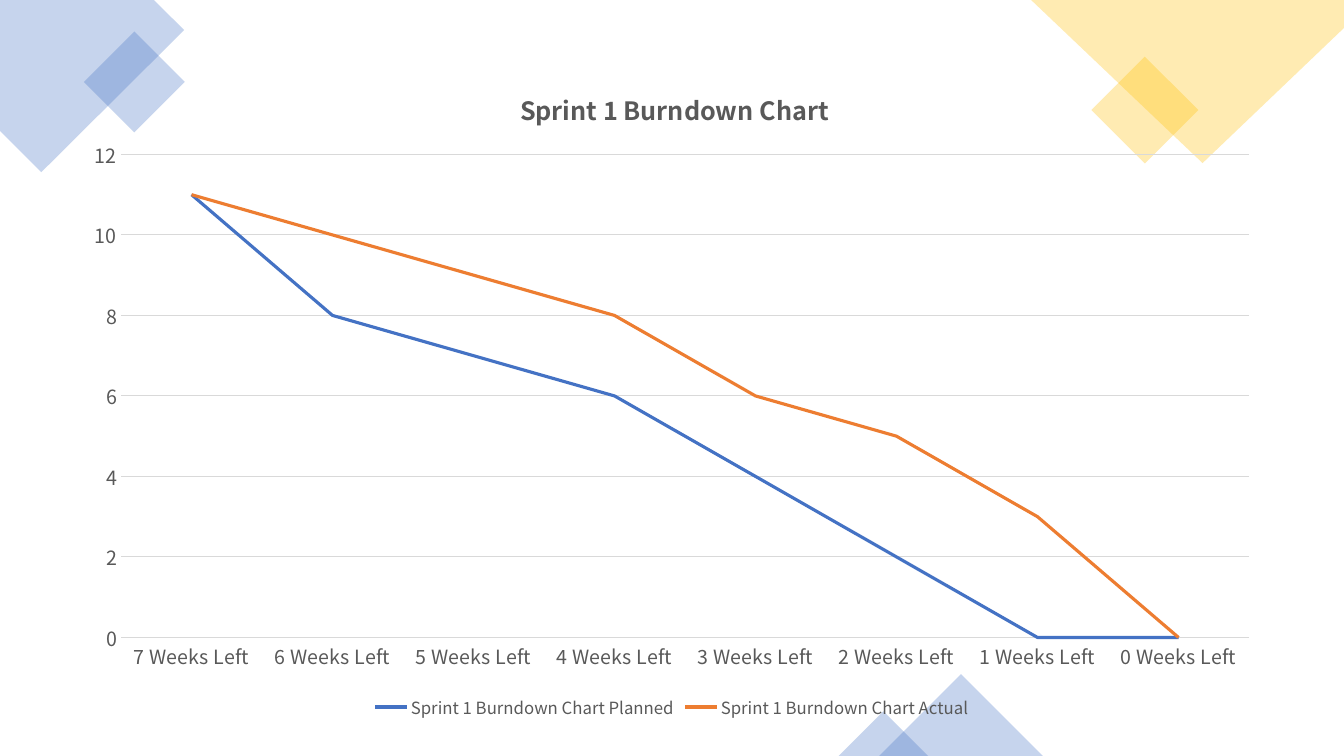
from dataclasses import dataclass

from lxml import etree
from pptx import Presentation
from pptx.chart.data import CategoryChartData
from pptx.dml.color import RGBColor
from pptx.enum.chart import XL_CHART_TYPE, XL_LEGEND_POSITION, XL_MARKER_STYLE, XL_TICK_MARK
from pptx.enum.shapes import MSO_SHAPE
from pptx.oxml import parse_xml
from pptx.oxml.ns import nsdecls, qn
from pptx.util import Pt

LINE_CHART = XL_CHART_TYPE.LINE
LEGEND_BOTTOM = XL_LEGEND_POSITION.BOTTOM
NO_MARKER = XL_MARKER_STYLE.NONE
NO_TICK = XL_TICK_MARK.NONE
SQUARE = MSO_SHAPE.RECTANGLE
TRIANGLE = MSO_SHAPE.ISOSCELES_TRIANGLE
BLANK_LAYOUT = 6


@dataclass(frozen=True)
class Theme:
    font: str = "Noto Sans CJK SC"
    blue: RGBColor = RGBColor(0x44, 0x72, 0xC4)
    gold: RGBColor = RGBColor(0xFF, 0xC0, 0x00)
    orange: RGBColor = RGBColor(0xED, 0x7D, 0x31)
    text: RGBColor = RGBColor(0x59, 0x59, 0x59)
    grid: RGBColor = RGBColor(0xD9, 0xD9, 0xD9)
    title_size: int = 18
    axis_size: int = 14
    legend_size: int = 12
    grid_width: float = 0.75
    series_width: float = 2.25
    opacity: int = 30


THEME = Theme()

WEEKS = [f"{week} Weeks Left" for week in range(7, -1, -1)]
SERIES = [
    ("Sprint 1 Burndown Chart Planned", THEME.blue, (11, 8, 7, 6, 4, 2, 0, 0)),
    ("Sprint 1 Burndown Chart Actual", THEME.orange, (11, 10, 9, 8, 6, 5, 3, 0)),
]


def style_decoration(shape, color):
    shape.shadow.inherit = False
    shape.fill.solid()
    shape.fill.fore_color.rgb = color
    shape.line.fill.background()
    color_node = shape.fill._xPr.find(qn("a:solidFill"))[0]
    alpha = etree.SubElement(color_node, qn("a:alpha"))
    alpha.set("val", str(THEME.opacity * 1000))


def add_polygon(page, points, color):
    corners = [(Pt(x), Pt(y)) for x, y in points]
    builder = page.shapes.build_freeform(*corners[0], scale=1.0)
    builder.add_line_segments(corners[1:], close=True)
    style_decoration(builder.convert_to_shape(), color)


def add_decoration(page, kind, left, top, width, height, color, rotation=0):
    shape = page.shapes.add_shape(kind, Pt(left), Pt(top), Pt(width), Pt(height))
    shape.rotation = rotation
    style_decoration(shape, color)


def style_font(font, size, bold=False):
    font.name = THEME.font
    font.size = Pt(size)
    font.bold = bold
    font.color.rgb = THEME.text


def style_line(line, color, width):
    line.color.rgb = color
    line.width = Pt(width)


def set_layout(parent, after, **values):
    for layout in parent.findall(qn("c:layout")):
        parent.remove(layout)
    children = "".join(f'<c:{name} val="{value}"/>' for name, value in values.items())
    layout = parse_xml(
        f'<c:layout {nsdecls("c")}><c:manualLayout>{children}</c:manualLayout></c:layout>'
    )
    if after is None:
        parent.insert(0, layout)
    else:
        after.addnext(layout)


def style_title(chart, text):
    frame = chart.chart_title.text_frame
    frame.text = text
    style_font(frame.paragraphs[0].runs[0].font, THEME.title_size, bold=True)
    title = chart.chart_title._element
    set_layout(title, title.find(qn("c:tx")), xMode="edge", yMode="edge", x=0.37, y=0.04)


def style_axes(chart):
    for axis in (chart.category_axis, chart.value_axis):
        axis.major_tick_mark = NO_TICK
        axis.minor_tick_mark = NO_TICK
        style_font(axis.tick_labels.font, THEME.axis_size)
    style_line(chart.category_axis.format.line, THEME.grid, THEME.grid_width)
    values = chart.value_axis
    values.minimum_scale, values.maximum_scale, values.major_unit = 0, 12, 2
    values.format.line.fill.background()
    style_line(values.major_gridlines.format.line, THEME.grid, THEME.grid_width)


def add_burndown_chart(page):
    data = CategoryChartData()
    data.categories = WEEKS
    for name, _, values in SERIES:
        data.add_series(name, values)
    frame = page.shapes.add_chart(LINE_CHART, Pt(50.4), Pt(40.3), Pt(859), Pt(476.6), data)
    chart = frame.chart
    style_font(chart.font, THEME.legend_size)
    style_title(chart, "Sprint 1 Burndown Chart")
    style_axes(chart)
    chart.has_legend = True
    chart.legend.position = LEGEND_BOTTOM
    chart.legend.include_in_layout = False
    style_font(chart.legend.font, THEME.legend_size)
    plot = chart.plots[0]
    plot.vary_by_categories = False
    for series, (_, color, _) in zip(plot.series, SERIES):
        series.smooth = False
        series.marker.style = NO_MARKER
        style_line(series.format.line, color, THEME.series_width)
    chart_node = chart._chartSpace.find(qn("c:chart"))
    set_layout(
        chart_node.find(qn("c:plotArea")), None, layoutTarget="inner",
        xMode="edge", yMode="edge", x=0.042, y=0.147, w=0.938, h=0.724,
    )
    chart_node.addnext(parse_xml(
        f'<c:spPr {nsdecls("c", "a")}><a:noFill/><a:ln><a:noFill/></a:ln></c:spPr>'
    ))


def main():
    deck = Presentation()
    deck.slide_width, deck.slide_height = Pt(960), Pt(540)
    page = deck.slides.add_slide(deck.slide_layouts[BLANK_LAYOUT])
    blue, gold = THEME.blue, THEME.gold
    add_polygon(page, [(0, 0), (110, 0), (131.5, 21.5), (29.5, 123), (0, 93.5)], blue)
    add_decoration(page, SQUARE, 70.5, 33, 51, 51, blue, rotation=315)
    add_decoration(page, SQUARE, 790.8, 51.6, 54, 54, gold, rotation=315)
    add_polygon(page, [(960, 0), (736.5, 0), (859, 116.5), (960, 20)], gold)
    add_decoration(page, TRIANGLE, 628, 481.5, 117, 58.5, blue)
    add_decoration(page, TRIANGLE, 599, 508, 64, 32, blue)
    add_burndown_chart(page)
    deck.save("out.pptx")


if __name__ == "__main__":
    main()
